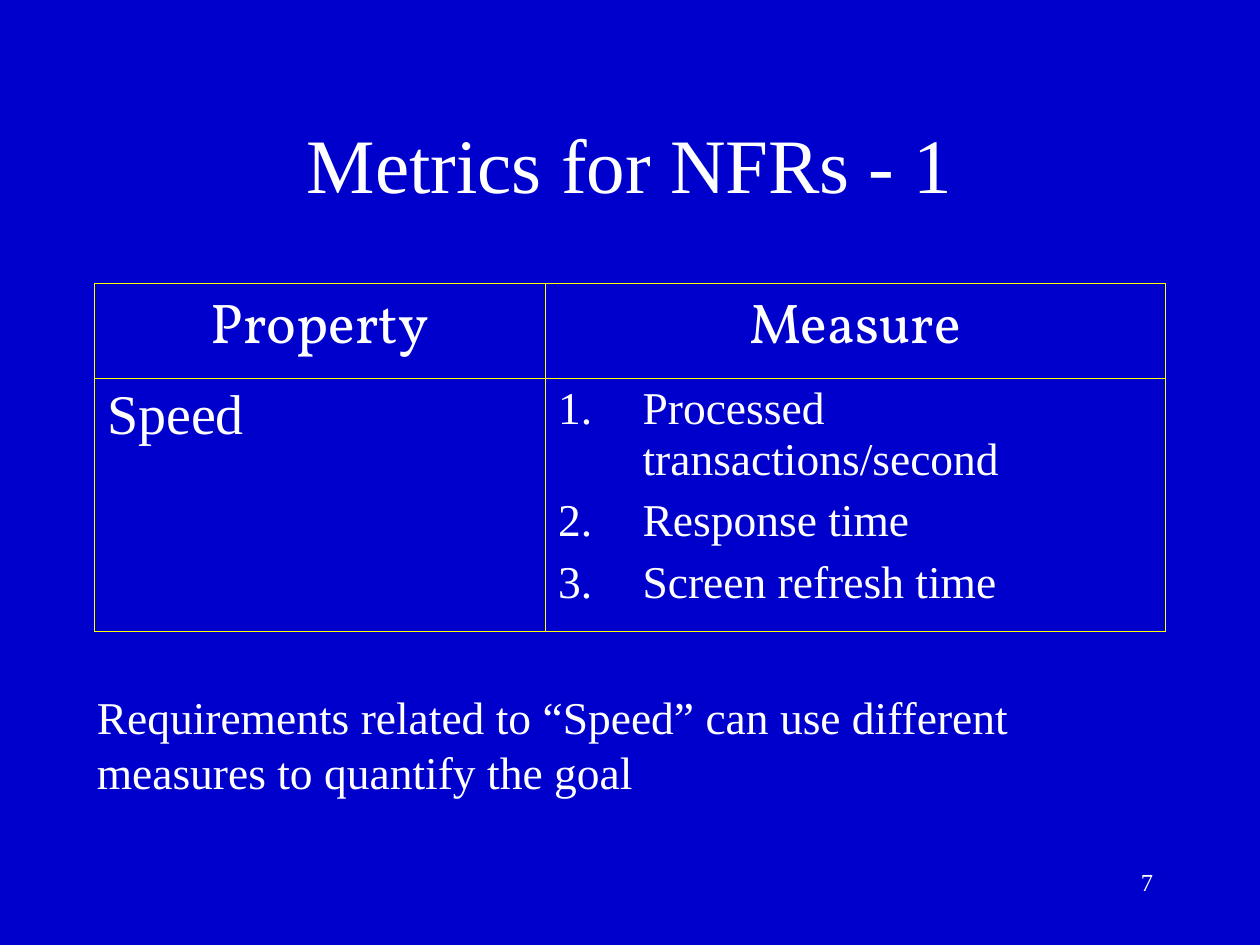
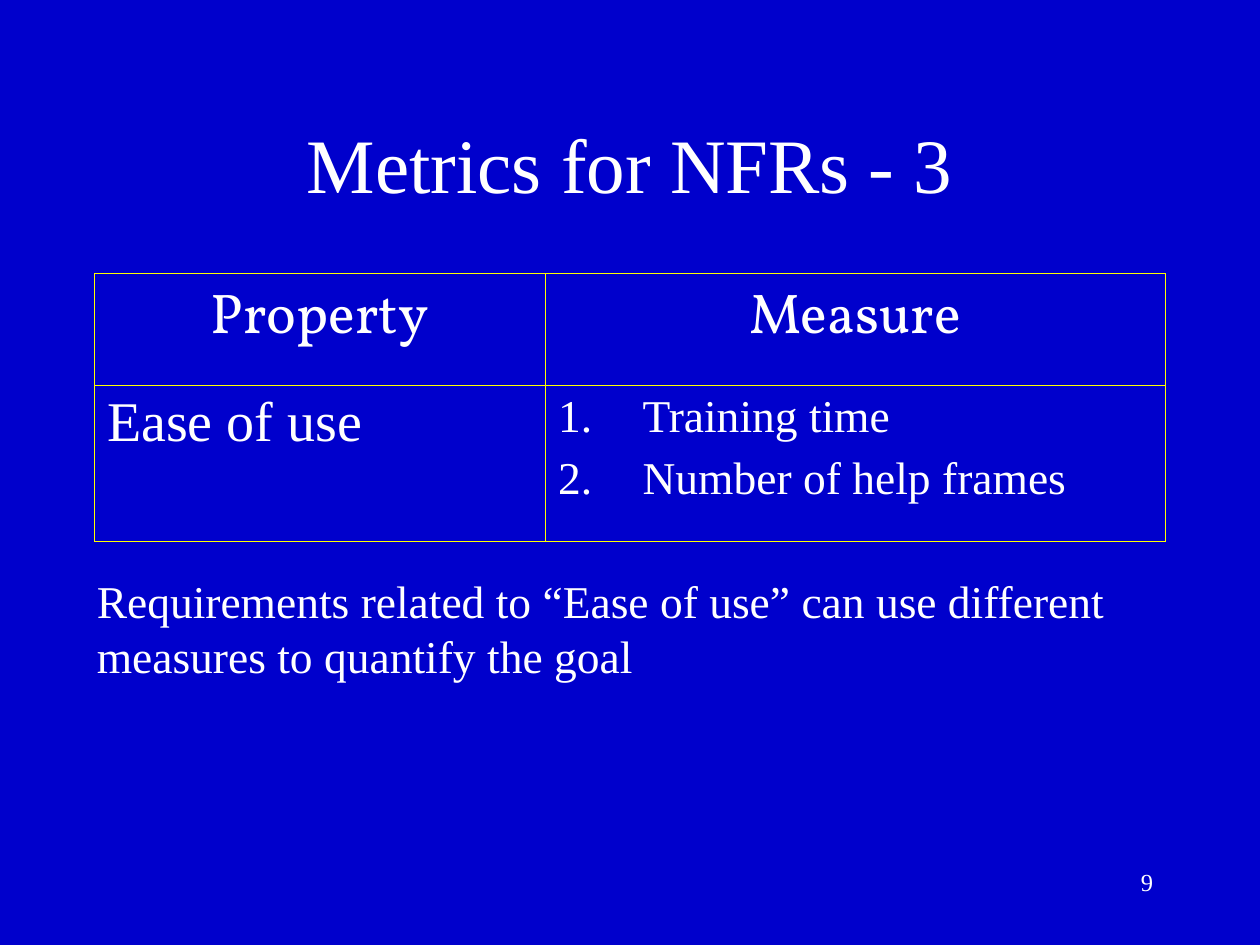
import lxml.etree
import pptx
import pptx.dml.color
import pptx.enum.text
import pptx.oxml.ns
import pptx.util

Inches = pptx.util.Inches
Pt = pptx.util.Pt
Align = pptx.enum.text.PP_ALIGN
Anchor = pptx.enum.text.MSO_ANCHOR
qn = pptx.oxml.ns.qn

BLUE = pptx.dml.color.RGBColor(0x00, 0x00, 0xCC)
WHITE = pptx.dml.color.RGBColor(0xFF, 0xFF, 0xFF)
YELLOW = pptx.dml.color.RGBColor(0xFF, 0xFF, 0x00)
BODY_FONT = "Times New Roman"
HEADER_FONT = "Vollkorn"

TITLE_BOX = (0.75, 0.67, 8.5, 1.25)
NUMBER_BOX = (7.17, 6.83, 2.08, 0.5)
COLUMN_WIDTHS = (3.58, 4.92)
BORDER_WIDTH = Pt(0.45)
LIST_INDENT = Inches(0.67)


def write_text(frame, *lines, size, font=BODY_FONT, align=Align.LEFT,
               before=0, numbered=False):
    """Fill a text frame with one paragraph for each line."""
    for index, line in enumerate(lines):
        paragraph = frame.add_paragraph() if index else frame.paragraphs[0]
        paragraph.alignment = align
        paragraph.space_before = Pt(before)
        run = paragraph.add_run()
        run.text = line
        run.font.size = Pt(size)
        run.font.name = font
        run.font.bold = False
        run.font.color.rgb = WHITE
        if numbered:
            number_paragraph(paragraph)


def number_paragraph(paragraph):
    properties = paragraph._p.get_or_add_pPr()
    properties.set("marL", str(LIST_INDENT))
    properties.set("indent", str(-LIST_INDENT))
    lxml.etree.SubElement(properties, qn("a:buFont"), typeface=BODY_FONT)
    lxml.etree.SubElement(properties, qn("a:buAutoNum"), type="arabicPeriod")


def outline_cell(cell):
    """Draw the four borders of a cell; they come before its fill."""
    properties = cell._tc.get_or_add_tcPr()
    for index, side in enumerate(("a:lnL", "a:lnR", "a:lnT", "a:lnB")):
        border = lxml.etree.Element(qn(side), w=str(BORDER_WIDTH))
        fill = lxml.etree.SubElement(border, qn("a:solidFill"))
        lxml.etree.SubElement(fill, qn("a:srgbClr"), val=str(YELLOW))
        properties.insert(index, border)


def add_text_box(slide, box, text, **text_format):
    shape = slide.shapes.add_textbox(*map(Inches, box))
    shape.text_frame.word_wrap = True
    write_text(shape.text_frame, text, **text_format)


def add_title(slide, text):
    title = slide.shapes.title
    title.left, title.top, title.width, title.height = map(Inches, TITLE_BOX)
    title.text_frame.auto_size = pptx.enum.text.MSO_AUTO_SIZE.NONE
    title.text_frame.vertical_anchor = Anchor.MIDDLE
    write_text(title.text_frame, text, size=44, align=Align.CENTER)


def add_metric_table(slide, left, top, row_heights, metric, measures):
    frame = slide.shapes.add_table(
        len(row_heights), len(COLUMN_WIDTHS), Inches(left), Inches(top),
        Inches(sum(COLUMN_WIDTHS)), Inches(sum(row_heights)))
    table = frame.table
    table.first_row = False
    table.horz_banding = False
    for column, width in zip(table.columns, COLUMN_WIDTHS):
        column.width = Inches(width)
    for row, height in zip(table.rows, row_heights):
        row.height = Inches(height)
    for cell in table.iter_cells():
        cell.fill.background()
        outline_cell(cell)

    # Header row
    for column, heading in enumerate(("Property", "Measure")):
        write_text(table.cell(0, column).text_frame, heading, size=32,
                   font=HEADER_FONT, align=Align.CENTER, before=8)
    # Property and its numbered measures
    write_text(table.cell(1, 0).text_frame, metric, size=32, before=8)
    write_text(table.cell(1, 1).text_frame, *measures, size=26, before=6.5,
               numbered=True)


def add_metric_slide(presentation, part, number, metric, measures,
                     table_top, row_heights, note_top):
    slide = presentation.slides.add_slide(presentation.slide_layouts[5])
    add_title(slide, f"Metrics for NFRs - {part}")
    add_metric_table(slide, 0.75, table_top, row_heights, metric, measures)
    # Closing remark
    add_text_box(slide, (0.67, note_top, 8.67, 0.97),
                 f"Requirements related to “{metric}” can use different "
                 "measures to quantify the goal", size=26, before=16.2)
    # Slide number
    add_text_box(slide, NUMBER_BOX, str(number), size=14, align=Align.RIGHT)


def main():
    presentation = pptx.Presentation()
    presentation.slide_width = Inches(10)
    presentation.slide_height = Inches(7.5)
    background = presentation.slide_master.background.fill
    background.solid()
    background.fore_color.rgb = BLUE

    add_metric_slide(
        presentation, part=1, number=7, metric="Speed",
        measures=("Processed transactions/second", "Response time",
                  "Screen refresh time"),
        table_top=2.25, row_heights=(0.75, 2.01), note_top=5.42)
    add_metric_slide(
        presentation, part=3, number=9, metric="Ease of use",
        measures=("Training time", "Number of help frames"),
        table_top=2.17, row_heights=(0.89, 1.24), note_top=4.5)
    presentation.save("out.pptx")


if __name__ == "__main__":
    main()
